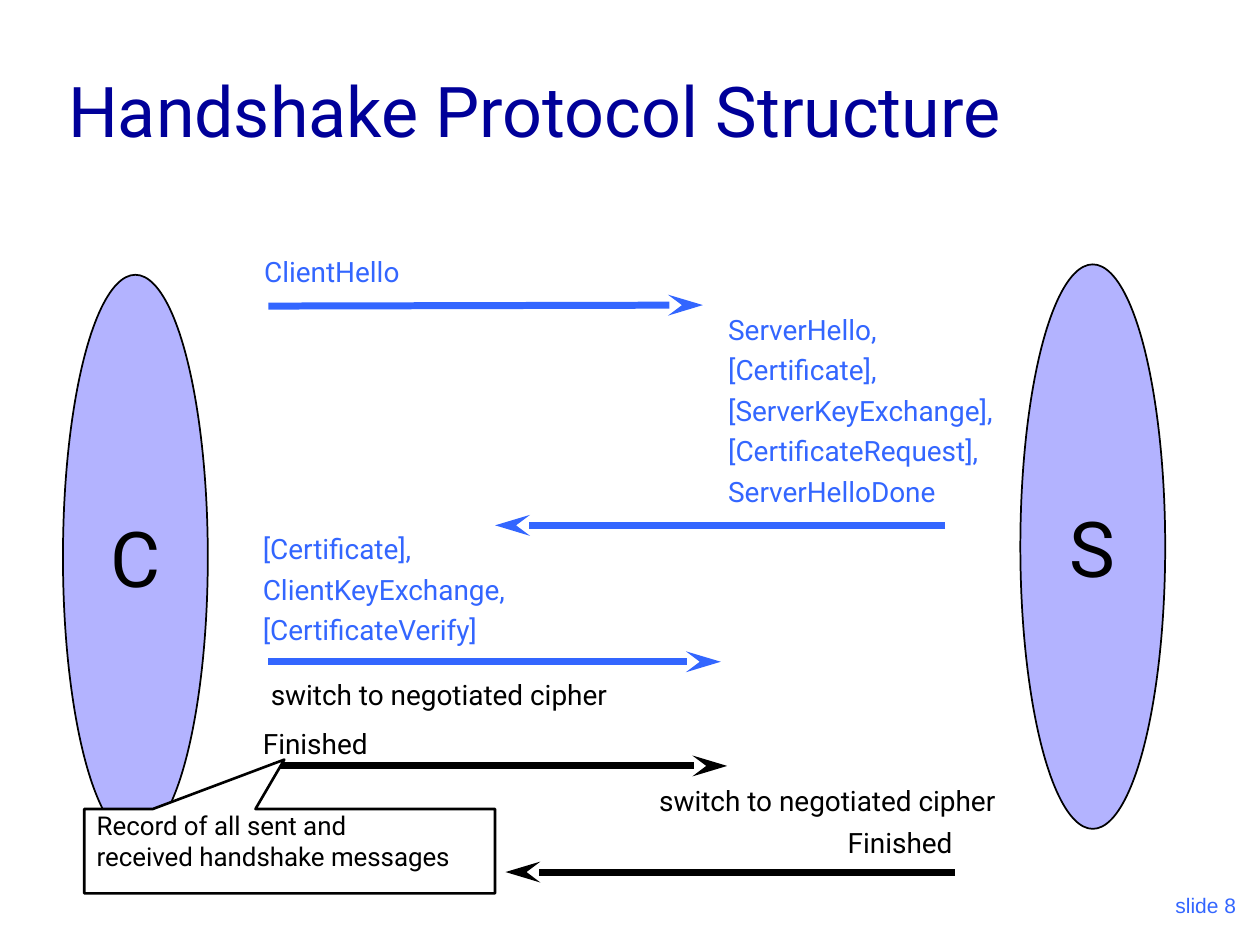
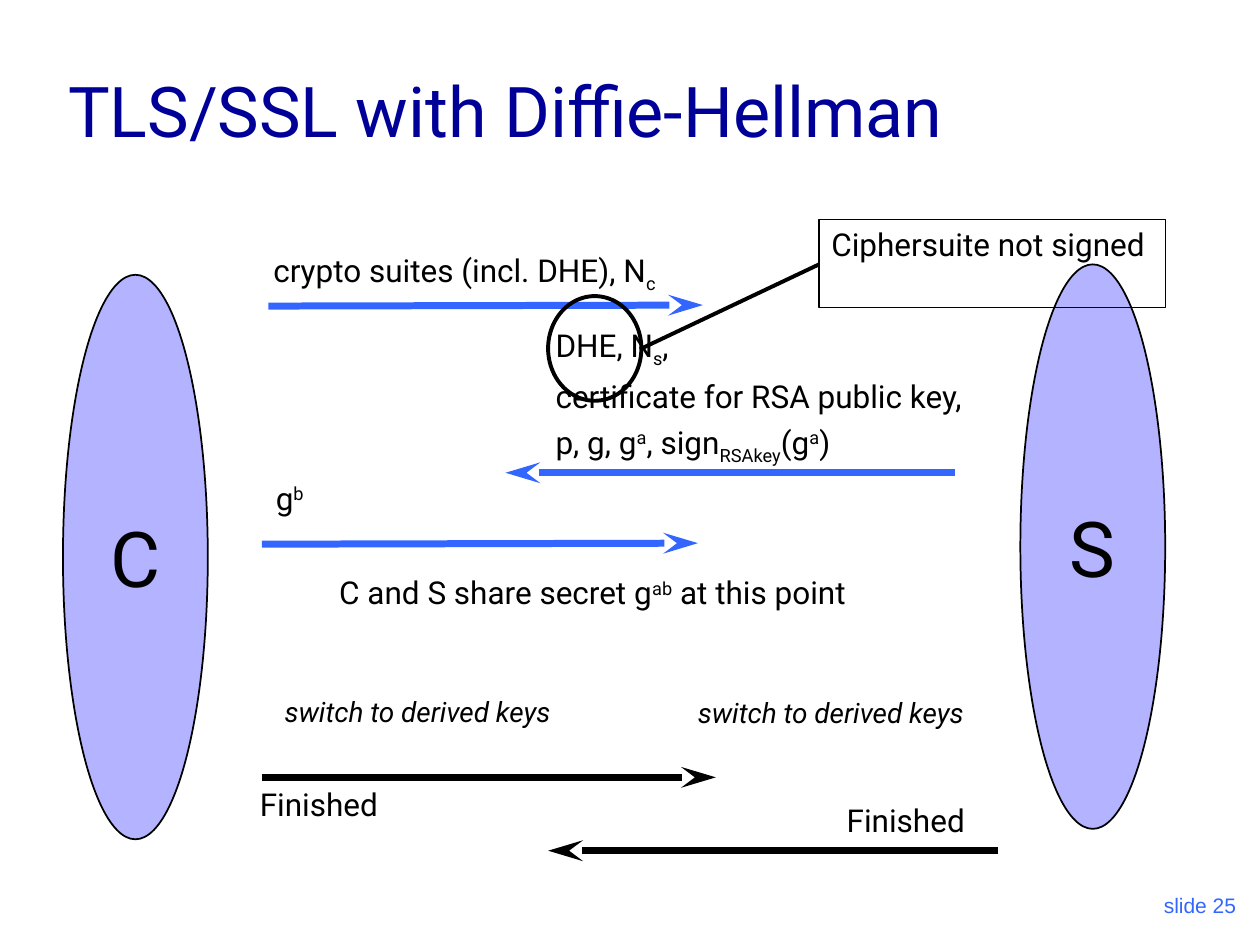
from pptx import Presentation
from pptx.dml.color import RGBColor
from pptx.enum.shapes import MSO_CONNECTOR, MSO_SHAPE
from pptx.enum.text import MSO_ANCHOR, MSO_AUTO_SIZE, PP_ALIGN
from pptx.oxml.ns import qn
from pptx.util import Cm, Pt
from lxml import etree

NAVY = RGBColor(0x00, 0x00, 0x99)
BLUE = RGBColor(0x33, 0x66, 0xFF)
LAVENDER = RGBColor(0xB3, 0xB3, 0xFF)
BLACK = RGBColor(0x00, 0x00, 0x00)
WHITE = RGBColor(0xFF, 0xFF, 0xFF)

BODY_FONT = "Roboto"
FOOTER_FONT = "Arial"

LEFT = PP_ALIGN.LEFT
CENTER = PP_ALIGN.CENTER
RIGHT = PP_ALIGN.RIGHT
TOP = MSO_ANCHOR.TOP
MIDDLE = MSO_ANCHOR.MIDDLE
BOTTOM = MSO_ANCHOR.BOTTOM
OVAL = MSO_SHAPE.OVAL
RECTANGLE = MSO_SHAPE.RECTANGLE
CALLOUT = MSO_SHAPE.RECTANGULAR_CALLOUT
STRAIGHT = MSO_CONNECTOR.STRAIGHT
FIT_SHAPE = MSO_AUTO_SIZE.SHAPE_TO_FIT_TEXT

TITLE_ONLY = 5
SUB = -25000
SUPER = 30000


def write(frame, lines, size, color=BLACK, align=LEFT, font=BODY_FONT,
          italic=False, spacing=None):
    for index, line in enumerate(lines):
        paragraph = frame.paragraphs[0] if index == 0 else frame.add_paragraph()
        paragraph.alignment = align
        if index:
            paragraph.space_before = Pt(size / 4)
        if spacing:
            paragraph.line_spacing = spacing
        pieces = [(line, 0)] if isinstance(line, str) else line
        for text, baseline in pieces:
            run = paragraph.add_run()
            run.text = text
            run.font.name = font
            run.font.size = Pt(size)
            run.font.italic = italic
            run.font.color.rgb = color
            if baseline:
                run.font._element.set("baseline", str(baseline))


def add_label(slide, left, top, width, lines, size=16, color=BLACK,
              align=LEFT, italic=False):
    count = len(lines)
    height = 0.26 + size * (0.041 * count + 0.009 * (count - 1))
    box = slide.shapes.add_textbox(Cm(left), Cm(top), Cm(width), Cm(height))
    box.text_frame.word_wrap = False
    box.text_frame.auto_size = FIT_SHAPE
    write(box.text_frame, lines, size, color, align, italic=italic)


def add_outlined(slide, kind, left, top, width, height, weight, fill=None,
                 anchor=TOP):
    shape = slide.shapes.add_shape(kind, Cm(left), Cm(top), Cm(width), Cm(height))
    shape.shadow.inherit = False
    if fill is None:
        shape.fill.background()
    else:
        shape.fill.solid()
        shape.fill.fore_color.rgb = fill
    shape.line.color.rgb = BLACK
    shape.line.width = Pt(weight)
    shape.text_frame.vertical_anchor = anchor
    return shape


def add_line(slide, start, end, color, weight):
    x1, y1, x2, y2 = (Cm(value) for value in start + end)
    line = slide.shapes.add_connector(STRAIGHT, x1, y1, x2, y2)
    line.line.color.rgb = color
    line.line.width = Pt(weight)
    etree.SubElement(line._element.spPr, qn("a:effectLst"))
    return line


def add_arrow(slide, start, end, color):
    arrow = add_line(slide, start, end, color, 4)
    etree.SubElement(arrow.line._get_or_add_ln(), qn("a:tailEnd"),
                     type="stealth", w="med", len="lg")


def add_party(slide, letter, left, top):
    party = add_outlined(slide, OVAL, left, top, 2.92, 11.38, 1, LAVENDER, MIDDLE)
    party.text_frame.word_wrap = False
    write(party.text_frame, [letter], 44, align=CENTER)


def add_protocol_slide(deck, heading, number):
    slide = deck.slides.add_slide(deck.slide_layouts[TITLE_ONLY])
    title = slide.shapes.title
    title.left, title.top, title.width, title.height = (
        Cm(1.12), Cm(0.64), Cm(21.59), Cm(2.54))
    title.text_frame.vertical_anchor = BOTTOM
    write(title.text_frame, [heading], 40, NAVY)

    footer = slide.shapes.add_textbox(Cm(19.89), Cm(17.35), Cm(5.28), Cm(1.27))
    footer.text_frame.word_wrap = True
    footer.text_frame.vertical_anchor = BOTTOM
    write(footer.text_frame, [f"slide {number}"], 12, BLUE, RIGHT, FOOTER_FONT)

    add_party(slide, "C", 1.27, 5.54)
    add_party(slide, "S", 20.57, 5.33)
    add_arrow(slide, (5.41, 6.17), (14.17, 6.15), BLUE)
    return slide


def build_handshake(deck):
    slide = add_protocol_slide(deck, "Handshake Protocol Structure", 8)
    add_arrow(slide, (19.05, 10.59), (9.98, 10.59), BLUE)
    add_arrow(slide, (5.41, 13.34), (14.53, 13.34), BLUE)
    add_label(slide, 5, 5, 3.38, ["ClientHello"], color=BLUE, align=CENTER)
    add_label(slide, 14.43, 6.17, 6.22,
              ["ServerHello,", "[Certificate],", "[ServerKeyExchange],",
               "[CertificateRequest],", "ServerHelloDone"], color=BLUE)
    add_label(slide, 5.05, 10.59, 5.69,
              ["[Certificate],", "ClientKeyExchange,", "[CertificateVerify]"],
              color=BLUE)

    add_arrow(slide, (5.51, 15.44), (14.66, 15.44), BLACK)
    add_arrow(slide, (19.25, 17.58), (10.19, 17.58), BLACK)
    for left, top in ((5, 13.54), (12.83, 15.67)):
        add_label(slide, left, top, 7.7, ["switch to negotiated cipher"],
                  align=CENTER)
    for left, top in ((5.05, 14.52), (16.84, 16.51)):
        add_label(slide, left, top, 2.72, ["Finished"])

    record = add_outlined(slide, CALLOUT, 1.7, 16.31, 8.28, 1.7, 1.5, WHITE)
    record.adjustments[0] = -0.013
    record.adjustments[1] = -1.086
    record.text_frame.word_wrap = True
    write(record.text_frame,
          ["Record of all sent and", "received handshake messages"],
          14.8, spacing=0.8)


def build_diffie_hellman(deck):
    slide = add_protocol_slide(deck, "TLS/SSL with Diffie-Hellman", 25)
    add_arrow(slide, (19.25, 9.53), (10.19, 9.53), BLUE)
    add_arrow(slide, (5.28, 10.97), (14.07, 10.95), BLUE)
    add_label(slide, 5.11, 4.93, 8.51,
              [[("crypto suites (incl. DHE), N", 0), ("c", SUB)]], 18,
              align=CENTER)
    add_label(slide, 10.95, 6.45, 9.12,
              [[("DHE, N", 0), ("s", SUB), (",", 0)],
               "certificate for RSA public key,",
               [("p, g, g", 0), ("a", SUPER), (", sign", 0), ("RSAkey", SUB),
                ("(g", 0), ("a", SUPER), (")", 0)]], 18)
    add_label(slide, 5.31, 9.53, 1.1, [[("g", 0), ("b", SUPER)]], 18)
    add_label(slide, 6.32, 11.43, 11.25,
              [[("C and S share secret g", 0), ("ab", SUPER),
                (" at this point", 0)]], 18, align=CENTER)

    add_arrow(slide, (5.28, 15.67), (14.43, 15.67), BLACK)
    add_arrow(slide, (20.12, 17.15), (11.05, 17.15), BLACK)
    for left, top in ((5.49, 13.87), (13.82, 13.89)):
        add_label(slide, left, top, 5.92, ["switch to derived keys"], italic=True)
    for left, top in ((4.93, 15.7), (16.76, 16.03)):
        add_label(slide, left, top, 3, ["Finished"], 18, align=CENTER)

    warning = add_outlined(slide, RECTANGLE, 16.51, 4.42, 6.99, 1.78, 0.75)
    warning.text_frame.word_wrap = True
    write(warning.text_frame, ["Ciphersuite not signed"], 18)
    add_outlined(slide, OVAL, 11.05, 5.97, 1.88, 2.11, 2.25)
    add_line(slide, (12.9, 7.04), (16.51, 5.33), BLACK, 2.25)


def main():
    deck = Presentation()
    deck.slide_width = Cm(25.4)
    deck.slide_height = Cm(19.05)
    build_handshake(deck)
    build_diffie_hellman(deck)
    deck.save("out.pptx")


if __name__ == "__main__":
    main()
